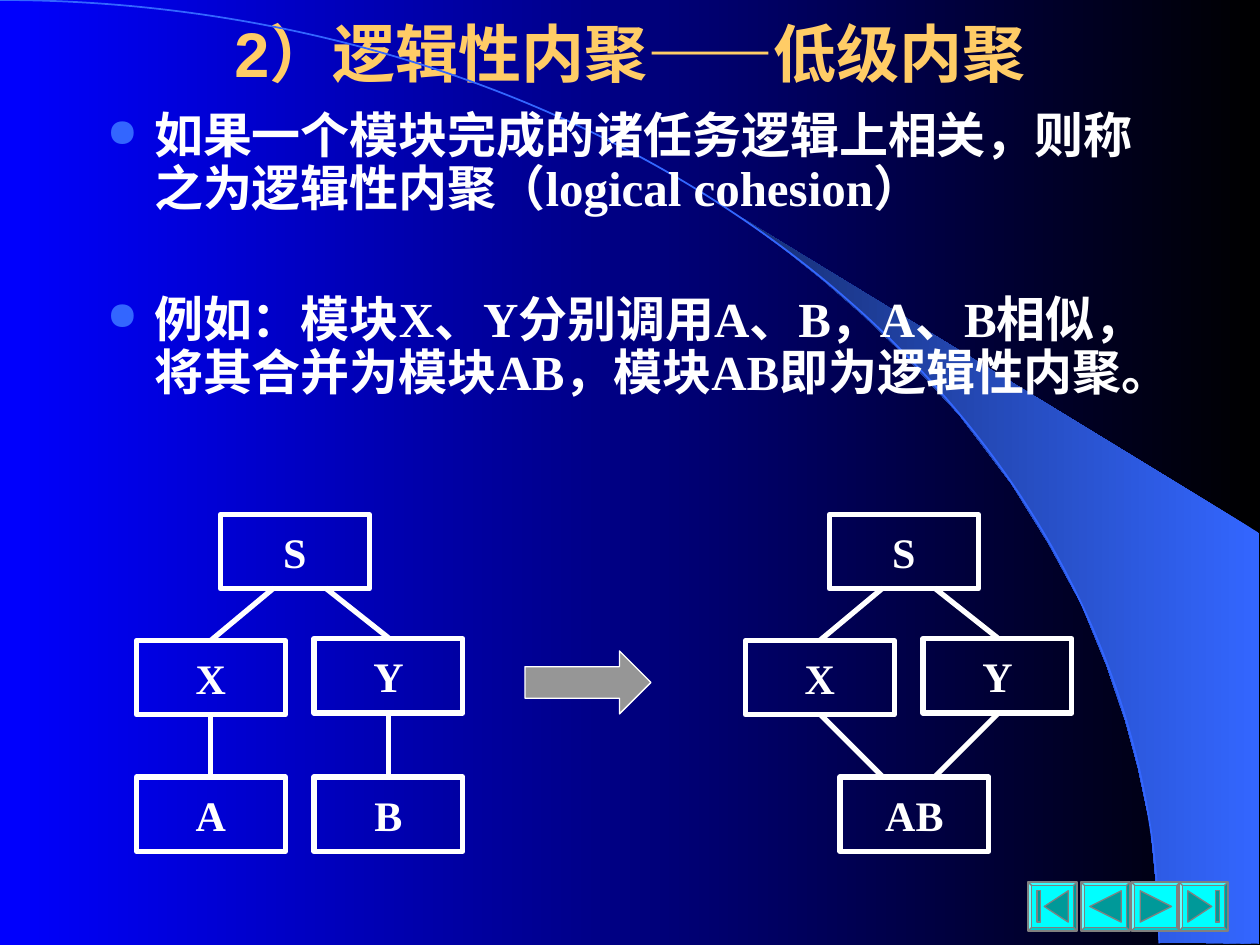
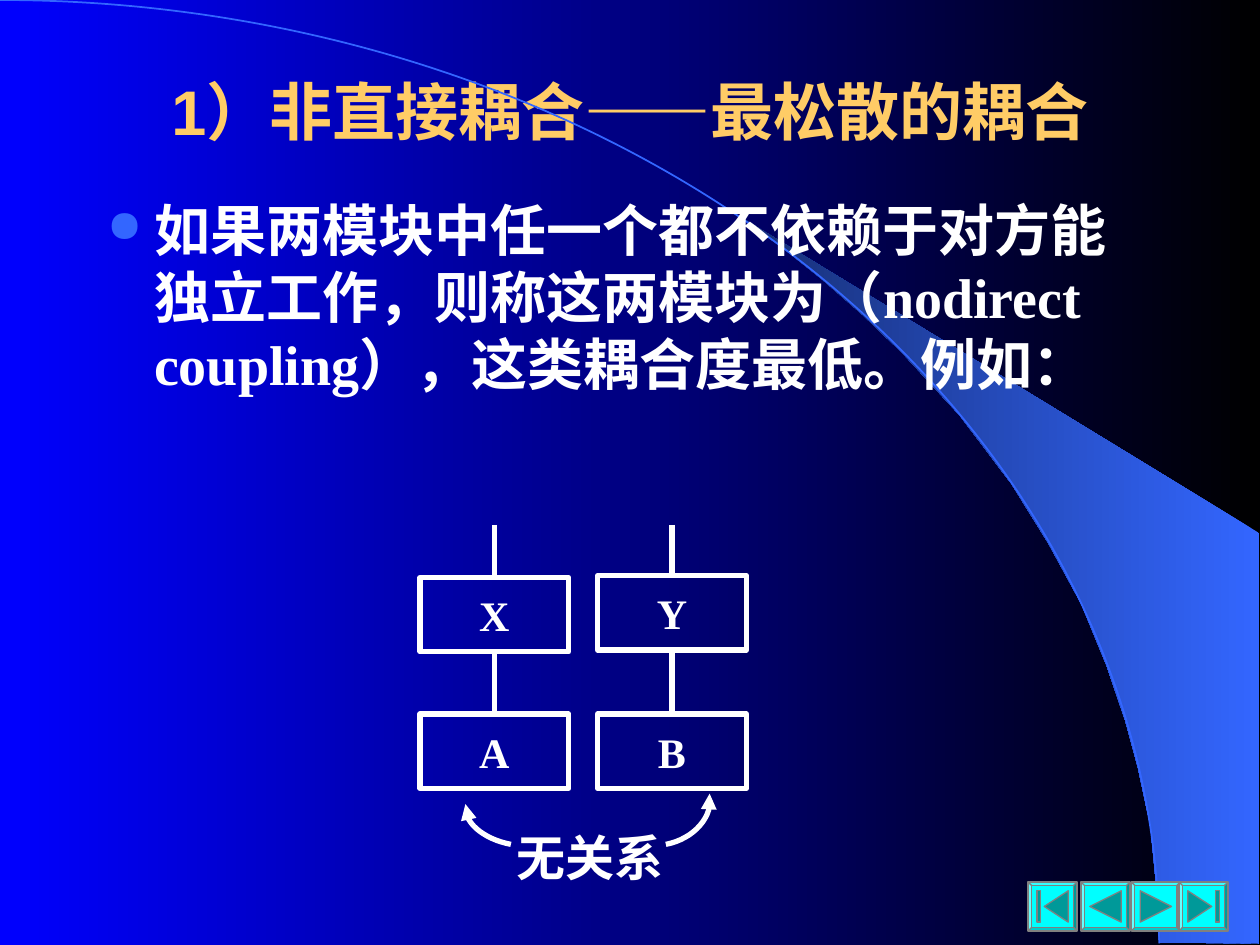
from lxml import etree
from pptx import Presentation
from pptx.dml.color import RGBColor
from pptx.enum.lang import MSO_LANGUAGE_ID as LANG
from pptx.enum.shapes import MSO_CONNECTOR, MSO_SHAPE
from pptx.enum.text import MSO_ANCHOR, MSO_AUTO_SIZE, PP_ALIGN
from pptx.oxml.ns import qn
from pptx.util import Pt

BLACK = RGBColor(0x00, 0x00, 0x00)
BLUE = RGBColor(0x00, 0x00, 0xFF)
SKY = RGBColor(0x33, 0x66, 0xFF)
NAVY = RGBColor(0x17, 0x2F, 0x75)
GOLD = RGBColor(0xFF, 0xCC, 0x66)
WHITE = RGBColor(0xFF, 0xFF, 0xFF)
SILVER = RGBColor(0x96, 0x96, 0x96)
GRAY = RGBColor(0x80, 0x80, 0x80)
CYAN = RGBColor(0x00, 0xFF, 0xFF)
TEAL = RGBColor(0x00, 0x99, 0x99)
SERIF = "Times New Roman"
SANS = "Arial"

WEDGE = [(662.4, 538.5), (719.3, 539.3), (719.3, 304.5), (424, 124.5), (449.3, 143.3),
         (470, 159.8), (493, 180), (515.5, 201.6), (548.6, 237.6), (578, 276.5),
         (599, 310.3), (617.8, 344.9), (632.2, 380), (643, 411.8), (650.2, 438.5),
         (657.4, 472.3), (660.2, 501)]
NODE_W, NODE_H = 85, 42.5
LEFT_X, RIGHT_X = 42.5, 144
FORK_LEFT, FORK_RIGHT = 78.5, 108
BUTTON = 28


def style(sp, fill=None, line=None, width=0.75):
    sp.shadow.inherit = False
    if fill is None:
        sp.fill.background()
    else:
        sp.fill.solid()
        sp.fill.fore_color.rgb = fill
    if line is None:
        sp.line.fill.background()
    else:
        sp.line.color.rgb = line
        sp.line.width = Pt(width)
    return sp


def gradient(fill, first, last):
    fill.gradient()
    fill.gradient_angle = 180
    for stop, color in zip(fill.gradient_stops, (first, last)):
        stop.color.rgb = color


def add_preset(slide, kind, x, y, w, h, **look):
    sp = slide.shapes.add_shape(kind, Pt(x), Pt(y), Pt(w), Pt(h))
    return style(sp, **look)


def add_outline(slide, *contours, close=True, **look):
    builder = None
    for contour in contours:
        points = [(Pt(x), Pt(y)) for x, y in contour]
        if builder is None:
            builder = slide.shapes.build_freeform(*points[0])
        else:
            builder.move_to(*points[0])
        builder.add_line_segments(points[1:], close=close)
    return style(builder.convert_to_shape(), **look)


def add_line(slide, x1, y1, x2, y2):
    cxn = slide.shapes.add_connector(MSO_CONNECTOR.STRAIGHT, Pt(x1), Pt(y1), Pt(x2), Pt(y2))
    cxn.line.color.rgb = WHITE
    cxn.line.width = Pt(3)
    etree.SubElement(cxn._element.spPr, qn("a:effectLst"))


def add_bullet(p):
    pPr = p._p.get_or_add_pPr()
    pPr.set("marL", str(Pt(27)))
    pPr.set("indent", str(-Pt(27)))
    color = etree.SubElement(pPr, qn("a:buClr"))
    etree.SubElement(color, qn("a:srgbClr"), val=str(SKY))
    etree.SubElement(pPr, qn("a:buSzPct"), val="80000")
    etree.SubElement(pPr, qn("a:buChar"), char="●")


def write(tf, *texts, size, font=SERIF, color=WHITE, align=PP_ALIGN.LEFT,
          anchor=MSO_ANCHOR.TOP, bullet=False, spacing=1.0, gap=0):
    tf.word_wrap = True
    tf.auto_size = MSO_AUTO_SIZE.NONE
    tf.vertical_anchor = anchor
    for i, text in enumerate(texts):
        p = tf.add_paragraph() if i else tf.paragraphs[0]
        if bullet:
            add_bullet(p)
        p.alignment = align
        p.line_spacing = spacing
        p.space_before = Pt(gap if i else 0)
        r = p.add_run()
        r.text = text
        r.font.name = font
        r.font.size = Pt(size)
        r.font.bold = True
        r.font.color.rgb = color
        r.font.language_id = LANG.SIMPLIFIED_CHINESE


def add_text(slide, x, y, w, h, *texts, **fmt):
    box = slide.shapes.add_textbox(Pt(x), Pt(y), Pt(w), Pt(h))
    write(box.text_frame, *texts, **fmt)


def add_backdrop(slide):
    gradient(slide.background.fill, BLACK, BLUE)
    wedge = add_outline(slide, WEDGE)
    gradient(wedge.fill, SKY, NAVY)
    add_preset(slide, MSO_SHAPE.ARC, -662.4, 0, 1324.8, 1078, line=SKY, width=1)


def add_button(slide, x, y, bar, forward):
    bevel = add_preset(slide, MSO_SHAPE.BEVEL, x, y, BUTTON, BUTTON, fill=CYAN, line=GRAY)
    bevel.adjustments[0] = 0.07
    tip = 0.33 if bar else 0.18
    icon = [[(tip, 0.5), (0.82, 0.18), (0.82, 0.82)]]
    if bar:
        icon.append([(0.18, 0.18), (0.26, 0.18), (0.26, 0.82), (0.18, 0.82)])
    contours = [[(x + BUTTON * (1 - u if forward else u), y + BUTTON * v) for u, v in part]
                for part in icon]
    add_outline(slide, *contours, fill=TEAL, line=GRAY)


def add_navigation(slide, x, y):
    buttons = [(0, True, False), (30.25, False, False), (59, False, True), (86.25, True, True)]
    for dx, bar, forward in buttons:
        add_button(slide, x + dx, y, bar, forward)


def add_slide(prs, title, top, height):
    slide = prs.slides.add_slide(prs.slide_layouts[5])
    add_backdrop(slide)
    sp = slide.shapes.title
    sp.left, sp.top, sp.width, sp.height = Pt(54), Pt(top), Pt(612), Pt(height)
    write(sp.text_frame, title, size=36, font=SANS, color=GOLD,
          align=PP_ALIGN.CENTER, anchor=MSO_ANCHOR.MIDDLE)
    add_navigation(slide, 587.5, 504)
    return slide


def add_modules(slide, x, y, nodes, links):
    for name, dx, dy in nodes:
        sp = add_preset(slide, MSO_SHAPE.RECTANGLE, x + dx, y + dy, NODE_W, NODE_H,
                        line=WHITE, width=3)
        tf = sp.text_frame
        tf.margin_left = tf.margin_right = tf.margin_top = tf.margin_bottom = 0
        write(tf, name, size=24, align=PP_ALIGN.CENTER, anchor=MSO_ANCHOR.MIDDLE)
    for x1, y1, x2, y2 in links:
        add_line(slide, x + x1, y + y1, x + x2, y + y2)


def add_curved_arrow(slide, start, pull1, pull2, end, steps=16):
    points = []
    for i in range(steps + 1):
        t = i / steps
        weights = ((1 - t) ** 3, 3 * t * (1 - t) ** 2, 3 * t * t * (1 - t), t ** 3)
        points.append(tuple(sum(w * pt[axis] for w, pt in zip(weights, (start, pull1, pull2, end)))
                            for axis in (0, 1)))
    sp = add_outline(slide, points, close=False, line=WHITE, width=3)
    ln = sp._element.spPr.find(qn("a:ln"))
    etree.SubElement(ln, qn("a:tailEnd"), type="triangle")


CALLERS = [("X", 0, 72), ("Y", 101.5, 71)]
CALLEES = [("A", 0, 150), ("B", 101.5, 150)]
ROOT = [("S", 48, 0)]
FORK = [(LEFT_X, 72, FORK_LEFT, 42), (FORK_RIGHT, 42, RIGHT_X, 70.5)]
CALLS = [(x, 114, x, 150) for x in (LEFT_X, RIGHT_X)]
STUBS = [(x, 42, x, 71) for x in (LEFT_X, RIGHT_X)]
MERGE = [(LEFT_X, 114, FORK_LEFT, 150), (RIGHT_X, 114, FORK_RIGHT, 150)]


def logical_cohesion(prs):
    slide = add_slide(prs, "2）逻辑性内聚——低级内聚", 12, 36)
    add_text(slide, 54, 60, 612, 204,
             "如果一个模块完成的诸任务逻辑上相关，则称之为逻辑性内聚（logical cohesion）",
             "例如：模块X、Y分别调用A、B，A、B相似，将其合并为模块AB，模块AB即为逻辑性内聚。",
             size=28, bullet=True, spacing=0.9, gap=44.5)
    add_modules(slide, 78, 294, ROOT + CALLERS + CALLEES, FORK + CALLS)
    add_modules(slide, 426, 294, ROOT + CALLERS + [("AB", 54, 150)], FORK + MERGE)
    add_preset(slide, MSO_SHAPE.RIGHT_ARROW, 300, 372, 72, 36, fill=SILVER, line=WHITE)


def no_direct_coupling(prs):
    slide = add_slide(prs, "1）非直接耦合——最松散的耦合", 42, 42)
    add_text(slide, 54, 108, 612, 174,
             "如果两模块中任一个都不依赖于对方能独立工作，则称这两模块为（nodirect coupling），"
             "这类耦合度最低。例如：",
             size=32, bullet=True)
    add_modules(slide, 240, 258, CALLERS + CALLEES, STUBS + CALLS)
    add_text(slide, 288, 469.5, 114, 41, "无关系", size=28)
    add_curved_arrow(slide, (292, 482.5), (276, 479.5), (264.5, 469.5), (266, 459.5))
    add_curved_arrow(slide, (380.5, 482.5), (396.5, 479.5), (408, 466.5), (405.5, 453.5))


def main():
    prs = Presentation()
    prs.slide_width, prs.slide_height = Pt(720), Pt(540)
    logical_cohesion(prs)
    no_direct_coupling(prs)
    prs.save("out.pptx")


if __name__ == "__main__":
    main()
